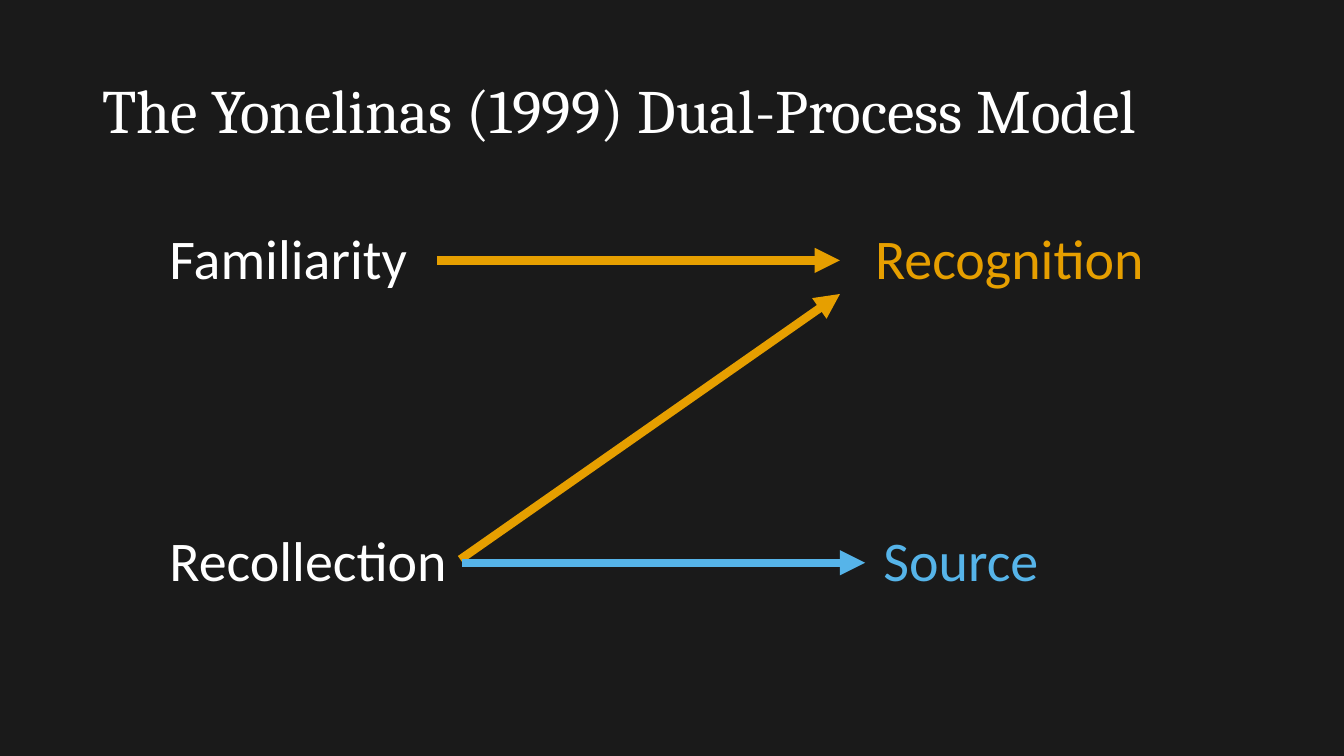
from dataclasses import dataclass

from lxml import etree
from pptx import Presentation
from pptx import util as u
from pptx.dml.color import RGBColor
from pptx.enum import shapes, text
from pptx.oxml.ns import qn
from pptx.slide import Slide


@dataclass(frozen=True)
class Theme:
    background: str = "1A1A1A"
    plain: str = "FFFFFF"
    recognition: str = "E69F00"
    source: str = "56B4E9"
    title_font: str = "Cambria"
    label_font: str = "Calibri"
    title_size: float = 44
    label_size: float = 40
    arrow_width: float = 6


@dataclass(frozen=True)
class Label:
    wording: str
    col: float
    row: float
    cols: float
    color: str
    rows: float = 0.92


@dataclass(frozen=True)
class Arrow:
    start: tuple[float, float]
    end: tuple[float, float]
    color: str


THEME = Theme()

# Grid of square cells: 16 columns by 9 rows
WIDTH, HEIGHT = u.Inches(13.33), u.Inches(7.5)
COLUMNS, ROWS = 16, 9
TOP_ROW, BOTTOM_ROW = 2.6, 6.2
PROCESS_COL = 1.9
ARROW_DROP = 0.5  # from the top of a label to its arrow

TITLE = Label("The Yonelinas (1999) Dual-Process Model", 1.1, 0.48, 13.8, THEME.plain, 1.74)

LABELS = [
    Label("Familiarity", PROCESS_COL, TOP_ROW, 3.1, THEME.plain),
    Label("Recollection", PROCESS_COL, BOTTOM_ROW, 3.58, THEME.plain),
    Label("Recognition", 10.3, TOP_ROW, 3.48, THEME.recognition),
    Label("Source", 10.4, BOTTOM_ROW, 2.1, THEME.source),
]

ARROWS = [
    Arrow((5.2, TOP_ROW + ARROW_DROP), (10, TOP_ROW + ARROW_DROP), THEME.recognition),
    Arrow((5.48, 6.66), (10, 3.5), THEME.recognition),
    Arrow((5.5, BOTTOM_ROW + ARROW_DROP), (10.3, BOTTOM_ROW + ARROW_DROP), THEME.source),
]


def x(col: float) -> int:
    return round(WIDTH * col / COLUMNS)


def y(row: float) -> int:
    return round(HEIGHT * row / ROWS)


def add_label(slide: Slide, label: Label, font: str, size: float, title: bool = False) -> None:
    box = slide.shapes.add_textbox(x(label.col), y(label.row), x(label.cols), y(label.rows))
    frame = box.text_frame
    frame.text = label.wording
    frame.word_wrap = title
    if title:
        frame.vertical_anchor = text.MSO_ANCHOR.MIDDLE
        frame.paragraphs[0].line_spacing = 0.9
    else:
        frame.auto_size = text.MSO_AUTO_SIZE.SHAPE_TO_FIT_TEXT
    style = frame.paragraphs[0].runs[0].font
    style.name = font
    style.size = u.Pt(size)
    style.color.rgb = RGBColor.from_string(label.color)


def add_arrow(slide: Slide, arrow: Arrow) -> None:
    (start_col, start_row), (end_col, end_row) = arrow.start, arrow.end
    connector = slide.shapes.add_connector(
        shapes.MSO_CONNECTOR.STRAIGHT, x(start_col), y(start_row), x(end_col), y(end_row)
    )
    connector.line.width = u.Pt(THEME.arrow_width)
    connector.line.color.rgb = RGBColor.from_string(arrow.color)
    # Arrowhead at the end, and no shadow
    etree.SubElement(connector.line._get_or_add_ln(), qn("a:tailEnd"), type="triangle")
    etree.SubElement(connector._element.spPr, qn("a:effectLst"))


def main() -> None:
    deck = Presentation()
    deck.slide_width, deck.slide_height = WIDTH, HEIGHT
    slide = deck.slides.add_slide(deck.slide_layouts[6])
    slide.background.fill.solid()
    slide.background.fill.fore_color.rgb = RGBColor.from_string(THEME.background)

    # Title
    add_label(slide, TITLE, THEME.title_font, THEME.title_size, title=True)

    # Processes on the left, memory judgements on the right
    for label in LABELS:
        add_label(slide, label, THEME.label_font, THEME.label_size)

    # Which process feeds which judgement
    for arrow in ARROWS:
        add_arrow(slide, arrow)

    deck.save("out.pptx")


if __name__ == "__main__":
    main()
